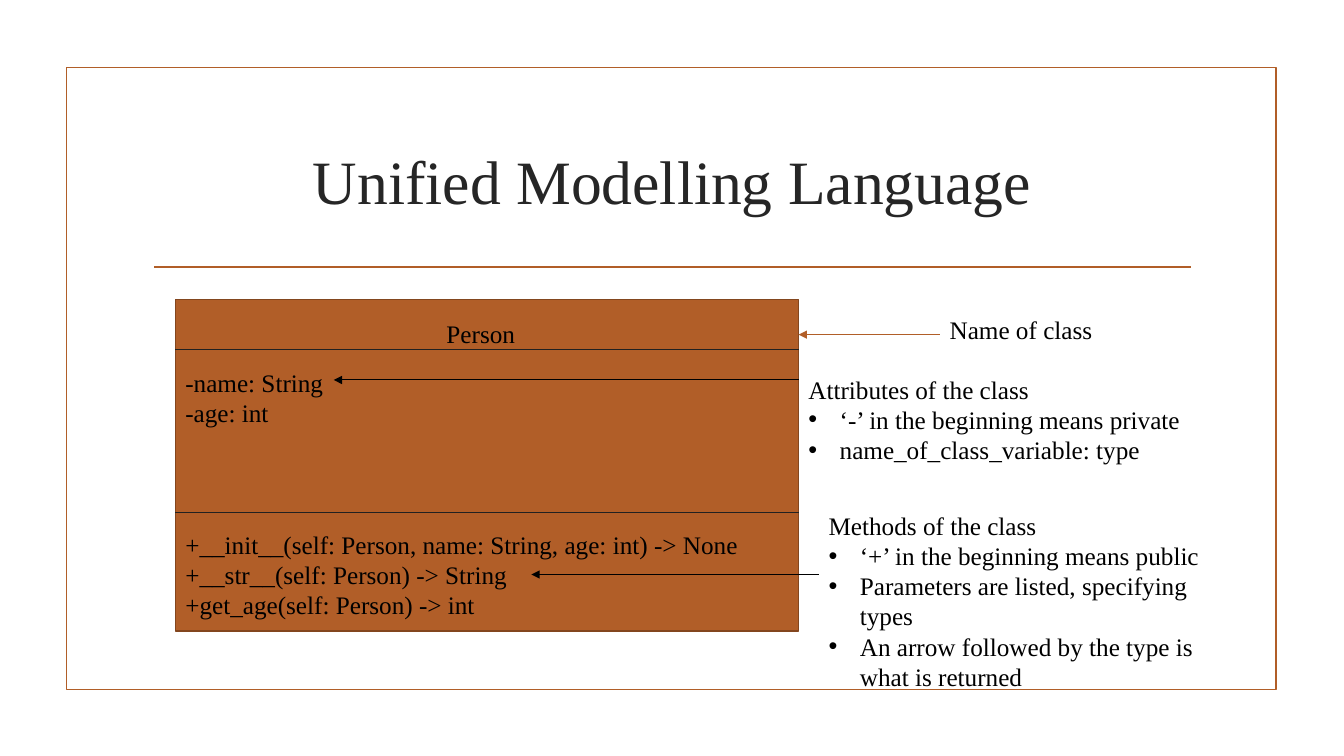
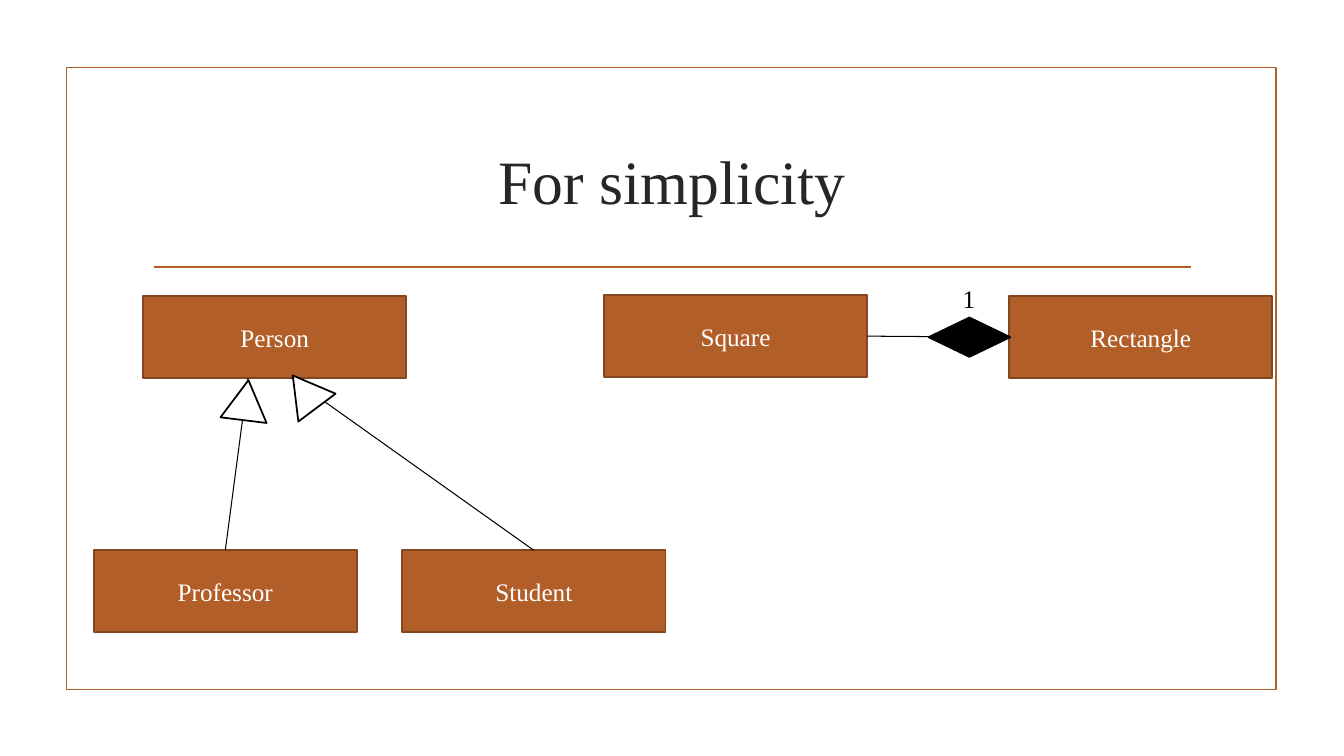
from lxml import etree
from pptx import Presentation
from pptx.dml.color import RGBColor
from pptx.enum import shapes, text
from pptx.oxml import ns
from pptx.util import Inches, Pt

COLORS = {
    "accent": "B15E28",
    "border": "83461E",
    "divider": "212121",
    "title": "262626",
    "black": "000000",
    "white": "FFFFFF",
}
FONT = "Times New Roman"
NODE_W, NODE_H = 2.61, 0.81
INDENT = 0.31


def rgb(name):
    return RGBColor.from_string(COLORS[name])


def style_font(paragraph, size, color):
    paragraph.font.name = FONT
    paragraph.font.size = Pt(size)
    paragraph.font.color.rgb = rgb(color)


# Drawing helpers
def add_block(slide, kind, box, fill, line, rotation=0):
    block = slide.shapes.add_shape(kind, *map(Inches, box))
    block.shadow.inherit = False
    if fill:
        block.fill.solid()
        block.fill.fore_color.rgb = rgb(fill)
    else:
        block.fill.background()
    block.line.color.rgb = rgb(line)
    block.line.width = Pt(1.25)
    block.rotation = rotation
    return block


def add_line(slide, start, end, color="black", width=0.75, arrow=False):
    line = slide.shapes.add_connector(
        shapes.MSO_CONNECTOR.STRAIGHT, *map(Inches, (*start, *end)))
    line.line.color.rgb = rgb(color)
    line.line.width = Pt(width)
    if arrow:
        etree.SubElement(line.line._get_or_add_ln(), ns.qn("a:tailEnd"), type="triangle")
    etree.SubElement(line._element.spPr, ns.qn("a:effectLst"))
    return line


def add_bullet(paragraph):
    props = paragraph._p.get_or_add_pPr()
    props.set("marL", str(Inches(INDENT)))
    props.set("indent", str(-Inches(INDENT)))
    etree.SubElement(props, ns.qn("a:buFont"), typeface="Arial")
    etree.SubElement(props, ns.qn("a:buChar"), char="•")


def add_text(slide, box, lines, bullets=(), wrap=True):
    label = slide.shapes.add_textbox(*map(Inches, box))
    frame = label.text_frame
    frame.word_wrap = wrap
    frame.auto_size = text.MSO_AUTO_SIZE.SHAPE_TO_FIT_TEXT
    frame.text = "\n".join([*lines, *bullets])
    for index, paragraph in enumerate(frame.paragraphs):
        style_font(paragraph, 18, "black")
        if index >= len(lines):
            add_bullet(paragraph)


# Shared layout: frame, title position and the rule below the title
def prepare_layout(prs):
    layout = prs.slide_layouts.get_by_name("Title Only")
    title = layout.placeholders[0]
    title.left, title.top, title.width, title.height = map(Inches, (1.42, 1.07, 10.5, 1.43))
    draft = prs.slides.add_slide(layout)
    frame = add_block(draft, shapes.MSO_SHAPE.RECTANGLE, (0.66, 0.67, 12, 6.17), None, "accent")
    rule = add_line(draft, (1.53, 2.65), (11.81, 2.65), "accent", 1.25)
    for part in (frame, rule):
        layout.shapes._spTree.append(part._element)
    return draft


def set_title(slide, wording):
    frame = slide.shapes.title.text_frame
    frame.text = wording
    frame.vertical_anchor = text.MSO_ANCHOR.MIDDLE
    heading = frame.paragraphs[0]
    heading.alignment = text.PP_ALIGN.CENTER
    style_font(heading, 44, "title")


# Class diagram with its three compartments
def class_card(slide, left, top, width, height):
    add_block(slide, shapes.MSO_SHAPE.RECTANGLE, (left, top, width, height), "accent", "border")
    attributes_top, methods_top = top + 0.5, top + 2.11
    for y in (attributes_top, methods_top):
        add_line(slide, (left, y), (left + width, y), "divider")
    add_text(slide, (left + 2.59, top + 0.14, 1.86, 0.4), ["Person"])
    add_text(slide, (left, attributes_top + 0.12, 2.27, 0.71), ["-name: String", "-age: int"])
    add_text(slide, (left, methods_top + 0.12, 6.04, 1.01), [
        "+__init__(self: Person, name: String, age: int) -> None",
        "+__str__(self: Person) -> String",
        "+get_age(self: Person) -> int",
    ])


# Remark with an arrow pointing left into the card
def annotation(slide, box, heading, bullets, arrow_drop, arrow_length, color="black"):
    left, y = box[0], box[1] + arrow_drop
    add_line(slide, (left, y), (left - arrow_length, y), color, arrow=True)
    add_text(slide, box, [heading], bullets)


def uml_slide(slide):
    set_title(slide, "Unified Modelling Language")
    class_card(slide, 1.74, 2.97, 6.18, 3.29)
    annotation(slide, (9.32, 3.07, 1.79, 0.4), "Name of class", [], 0.25, 1.4, "accent")
    annotation(slide, (7.92, 3.66, 4.14, 1.01), "Attributes of the class", [
        "‘-’ in the beginning means private",
        "name_of_class_variable: type",
    ], 0.11, 4.61)
    annotation(slide, (8.12, 5.01, 3.96, 1.92), "Methods of the class", [
        "‘+’ in the beginning means public",
        "Parameters are listed, specifying types",
        "An arrow followed by the type is what is returned",
    ], 0.69, 2.85)


def class_node(slide, name, left, top):
    node = add_block(slide, shapes.MSO_SHAPE.RECTANGLE,
                     (left, top, NODE_W, NODE_H), "accent", "border")
    node.text_frame.text = name
    node.text_frame.vertical_anchor = text.MSO_ANCHOR.MIDDLE
    label = node.text_frame.paragraphs[0]
    label.alignment = text.PP_ALIGN.CENTER
    style_font(label, 18, "white")
    return node


# Inheritance: a parent above two children
def inheritance(slide, left, top):
    children_top = top + 2.52
    class_node(slide, "Person", left + 0.49, top)
    children = [("Professor", 0, 1.53), ("Student", 3.06, 1.96)]
    for name, offset, tip in children:
        child = class_node(slide, name, left + offset, children_top)
        link = add_line(slide, (left + offset + NODE_W / 2, children_top),
                        (left + tip, top + NODE_H))
        link.begin_connect(child, 0)
    for dx, dy, rotation in ((1.28, 0.83, 7), (1.97, 0.79, 83.1)):
        add_block(slide, shapes.MSO_SHAPE.ISOSCELES_TRIANGLE,
                  (left + dx, top + dy, 0.46, 0.4), "white", "black", rotation)


# Composition: a part joined to its whole by a diamond
def composition(slide, left, top):
    square = class_node(slide, "Square", left, top)
    rectangle = class_node(slide, "Rectangle", left + 4.02, top + 0.01)
    link = add_line(slide, (left + NODE_W, top + 0.41), (left + 4.02, top + 0.42))
    link.begin_connect(square, 3)
    link.end_connect(rectangle, 1)
    add_block(slide, shapes.MSO_SHAPE.DIAMOND,
              (left + 3.22, top + 0.22, 0.81, 0.39), "black", "black")
    add_text(slide, (left + 3.46, top - 0.17, 0.32, 0.4), ["1"], wrap=False)


def simplicity_slide(slide):
    set_title(slide, "For simplicity")
    inheritance(slide, 0.93, 2.94)
    composition(slide, 5.99, 2.93)


def main():
    prs = Presentation()
    prs.slide_width, prs.slide_height = Inches(13.33), Inches(7.5)
    first = prepare_layout(prs)
    uml_slide(first)
    simplicity_slide(prs.slides.add_slide(first.slide_layout))
    prs.save("out.pptx")


if __name__ == "__main__":
    main()
